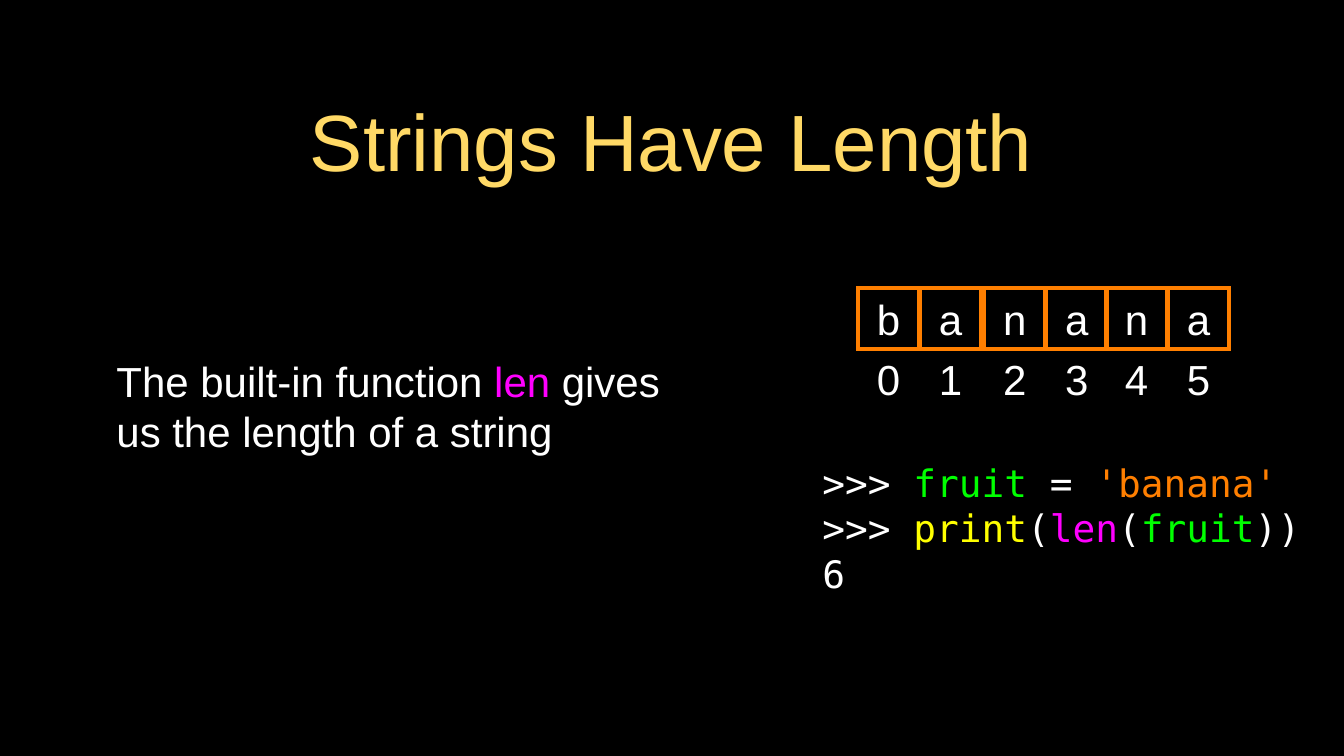
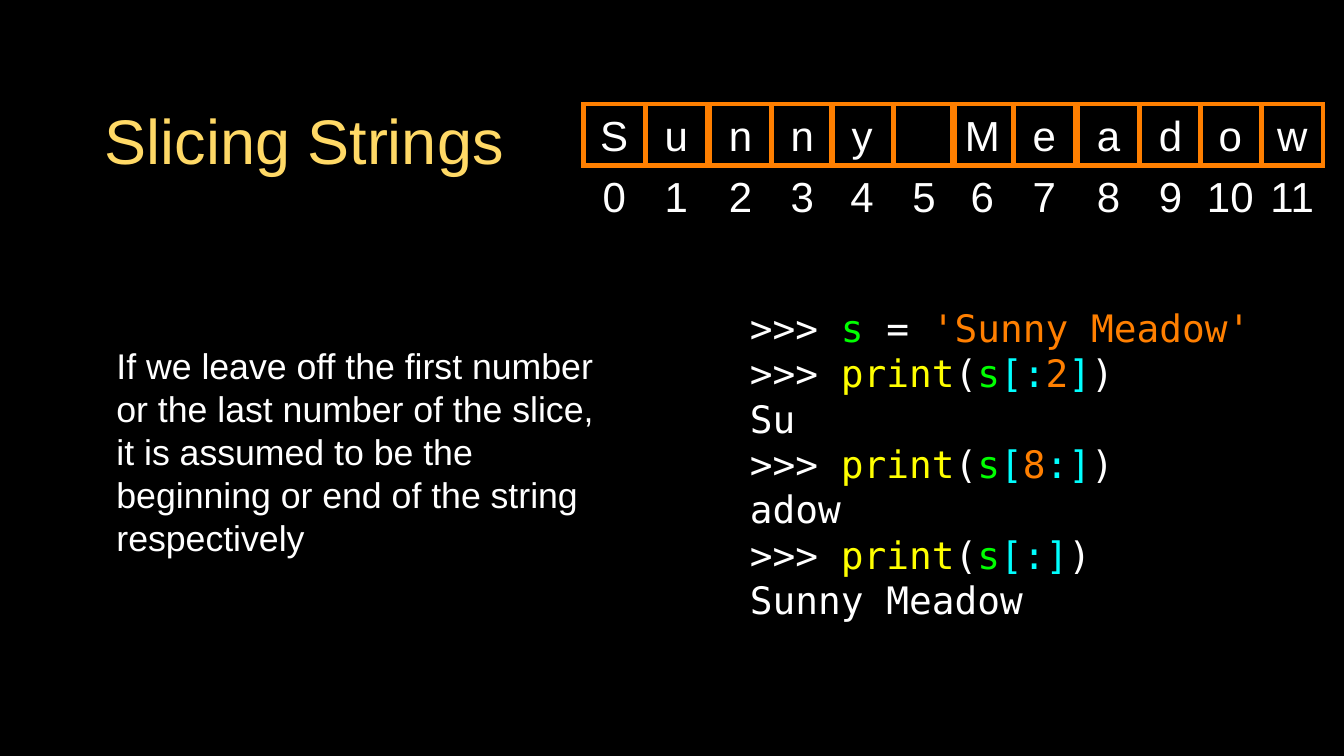
from dataclasses import dataclass
from typing import NamedTuple

from lxml import etree
from pptx import Presentation
from pptx.dml.color import RGBColor
from pptx.enum.shapes import MSO_SHAPE
from pptx.enum.text import MSO_ANCHOR, MSO_AUTO_SIZE, PP_ALIGN
from pptx.oxml.ns import qn
from pptx.util import Inches, Pt

RECT = MSO_SHAPE.RECTANGLE
MIDDLE = MSO_ANCHOR.MIDDLE
NO_FIT = MSO_AUTO_SIZE.NONE
LEFT, CENTER = PP_ALIGN.LEFT, PP_ALIGN.CENTER


@dataclass(frozen=True)
class Theme:
    back: str = "000000"
    title: str = "FFD966"
    text: str = "FFFFFF"
    builtin: str = "FF00FF"
    variable: str = "00FF00"
    literal: str = "FF7F00"
    call: str = "FFFF00"
    bracket: str = "00FFFF"
    sans: str = "Arial"
    mono: str = "DejaVu Sans Mono"
    title_size: int = 76
    side_title_size: int = 60
    body_size: int = 40
    long_body_size: int = 34
    code_size: int = 36
    cell_size: int = 40
    cell_line: int = 4


T = Theme()


class Box(NamedTuple):
    left: float
    top: float
    width: float
    height: float


class Token(NamedTuple):
    text: str
    color: str = T.text


Line = list[Token]


@dataclass(frozen=True)
class TextBlock:
    box: Box
    lines: list[Line]
    size: int
    font: str = T.sans
    align: PP_ALIGN = LEFT
    inset: float = 0


@dataclass(frozen=True)
class LetterRow:
    word: str
    left: float
    top: float


@dataclass(frozen=True)
class StringSlide:
    title: TextBlock
    body: TextBlock
    code: TextBlock
    letters: LetterRow


PLACEHOLDER_INSET = 0.04
BODY_INDENT = 0.24
CELL = 0.81
# Cells stand in groups of six with slightly uneven steps.
CELL_OFFSETS = (0, 0.82, 1.67, 2.49, 3.28, 4.1)
GROUP_STEP = 4.87
BAND = Box(0, 9.14, 17.78, 0.86)

FRUIT = "banana"
PHRASE = "Sunny Meadow"
PROMPT = Token(">>> ")


def assign(name: str, value: str) -> Line:
    return [PROMPT, Token(name, T.variable), Token(" = "),
            Token(f"'{value}'", T.literal)]


def print_call(*arguments: Token) -> Line:
    return [PROMPT, Token("print", T.call), Token("("), *arguments, Token(")")]


def print_slice(start: str = "", stop: str = "") -> Line:
    return print_call(Token("s", T.variable), Token("[", T.bracket),
                      Token(start, T.literal), Token(":", T.bracket),
                      Token(stop, T.literal), Token("]", T.bracket))


def title_block(text: str, width: float, size: int) -> TextBlock:
    return TextBlock(Box(1.26, 0.91, width, 1.87), [[Token(text, T.title)]],
                     size, align=CENTER, inset=PLACEHOLDER_INSET)


def body_block(line: Line, width: float, height: float, size: int) -> TextBlock:
    return TextBlock(Box(1.26, 2.85, width, height), [line], size,
                     inset=PLACEHOLDER_INSET)


def code_block(box: Box, *lines: Line) -> TextBlock:
    return TextBlock(box, list(lines), T.code_size, T.mono)


SLIDES = [
    StringSlide(
        title_block("Strings Have Length", 15.24, T.title_size),
        body_block([Token("The built-in function "), Token("len", T.builtin),
                    Token(" gives us the length of a string")],
                   8.08, 5.04, T.body_size),
        code_block(Box(10.88, 6.07, 6.9, 1.82),
                   assign("fruit", FRUIT),
                   print_call(Token("len", T.builtin), Token("("),
                              Token("fruit", T.variable), Token(")")),
                   [Token("6")]),
        LetterRow(FRUIT, 11.35, 3.81),
    ),
    StringSlide(
        title_block("Slicing Strings", 5.53, T.side_title_size),
        body_block([Token("If we leave off the first number or the last number of "
                          "the slice, it is assumed to be the beginning or end of "
                          "the string respectively")],
                   6.74, 6.24, T.long_body_size),
        code_block(Box(9.92, 4.01, 7.51, 4.24),
                   assign("s", PHRASE),
                   print_slice(stop="2"), [Token(PHRASE[:2])],
                   print_slice(start="8"), [Token(PHRASE[8:])],
                   print_slice(), [Token(PHRASE)]),
        LetterRow(PHRASE, 7.72, 1.38),
    ),
]


def inches(box: Box) -> list[int]:
    return [Inches(length) for length in box]


def set_format(target, values: dict) -> None:
    for name, value in values.items():
        setattr(target, name, value)


def write_text(sp, block: TextBlock) -> None:
    tf = sp.text_frame
    margins = ("margin_left", "margin_top", "margin_right", "margin_bottom")
    set_format(tf, dict.fromkeys(margins, Inches(block.inset))
               | {"word_wrap": True, "auto_size": NO_FIT, "vertical_anchor": MIDDLE})
    for i, line in enumerate(block.lines):
        p = tf.add_paragraph() if i else tf.paragraphs[0]
        set_format(p, {"alignment": block.align, "space_before": Pt(0)})
        for token in line:
            if not token.text:
                continue
            r = p.add_run()
            r.text = token.text
            set_format(r.font, {"name": block.font, "size": Pt(block.size)})
            r.font.color.rgb = RGBColor.from_string(token.color)


def fill_placeholder(sp, block: TextBlock) -> None:
    left, top, width, height = inches(block.box)
    set_format(sp, {"left": left, "top": top, "width": width, "height": height})
    write_text(sp, block)


def remove_bullets(sp) -> None:
    for p in sp.text_frame.paragraphs:
        pPr = p._p.get_or_add_pPr()
        pPr.set("marL", str(Inches(BODY_INDENT)))
        pPr.set("indent", "0")
        etree.SubElement(pPr, qn("a:buNone"))


def add_text(s, block: TextBlock) -> None:
    write_text(s.shapes.add_textbox(*inches(block.box)), block)


def add_letters(s, row: LetterRow) -> None:
    """Draw one outlined cell per letter with its index below."""
    for i, letter in enumerate(row.word):
        group, place = divmod(i, len(CELL_OFFSETS))
        left = row.left + group * GROUP_STEP + CELL_OFFSETS[place]
        index_box = Box(left, row.top + 0.8, CELL, CELL)
        add_text(s, TextBlock(index_box, [[Token(str(i))]], T.cell_size, align=CENTER))

        box = Box(left, row.top, CELL, CELL)
        sp = s.shapes.add_shape(RECT, *inches(box))
        sp.shadow.inherit = False
        sp.fill.background()
        sp.line.color.rgb = RGBColor.from_string(T.literal)
        sp.line.width = Pt(T.cell_line)
        etree.SubElement(sp.element.spPr.find(qn("a:ln")), qn("a:miter"), lim="800000")
        write_text(sp, TextBlock(box, [[Token(letter.strip())]], T.cell_size,
                                 align=CENTER))


def style_master(prs, s) -> None:
    """Give the master its background and the bottom band, built on slide s."""
    color = RGBColor.from_string(T.back)
    master = prs.slide_master
    band = s.shapes.add_shape(RECT, *inches(BAND))
    band.shadow.inherit = False
    band.line.fill.background()
    for fill in (master.background.fill, band.fill):
        fill.solid()
        fill.fore_color.rgb = color
    master.shapes.element.insert(2, band.element)


def add_slide(prs, content: StringSlide):
    s = prs.slides.add_slide(prs.slide_layouts[1])
    body = s.placeholders[1]
    fill_placeholder(s.shapes.title, content.title)
    fill_placeholder(body, content.body)
    remove_bullets(body)
    add_text(s, content.code)
    add_letters(s, content.letters)
    return s


def main() -> None:
    prs = Presentation()
    set_format(prs, {"slide_width": Inches(17.78), "slide_height": Inches(10)})
    slides = [add_slide(prs, content) for content in SLIDES]
    style_master(prs, slides[0])
    prs.save("out.pptx")


if __name__ == "__main__":
    main()
